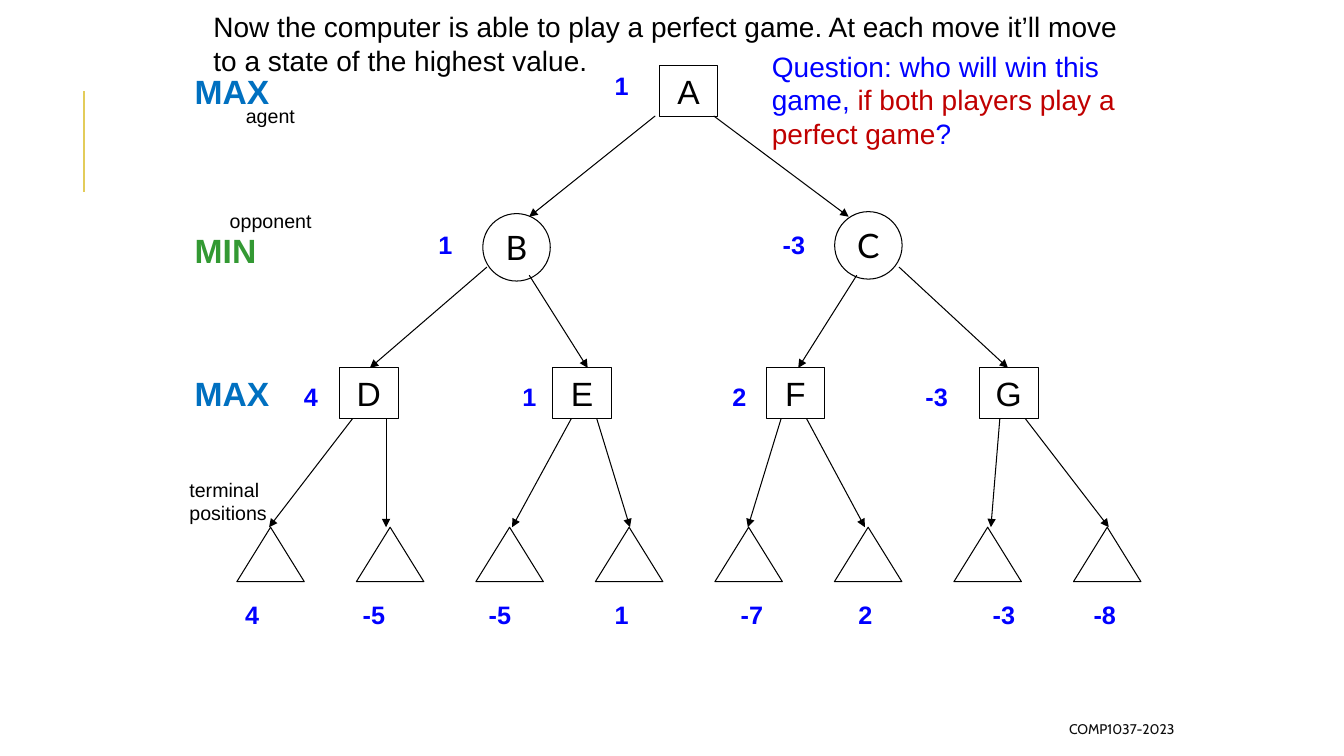
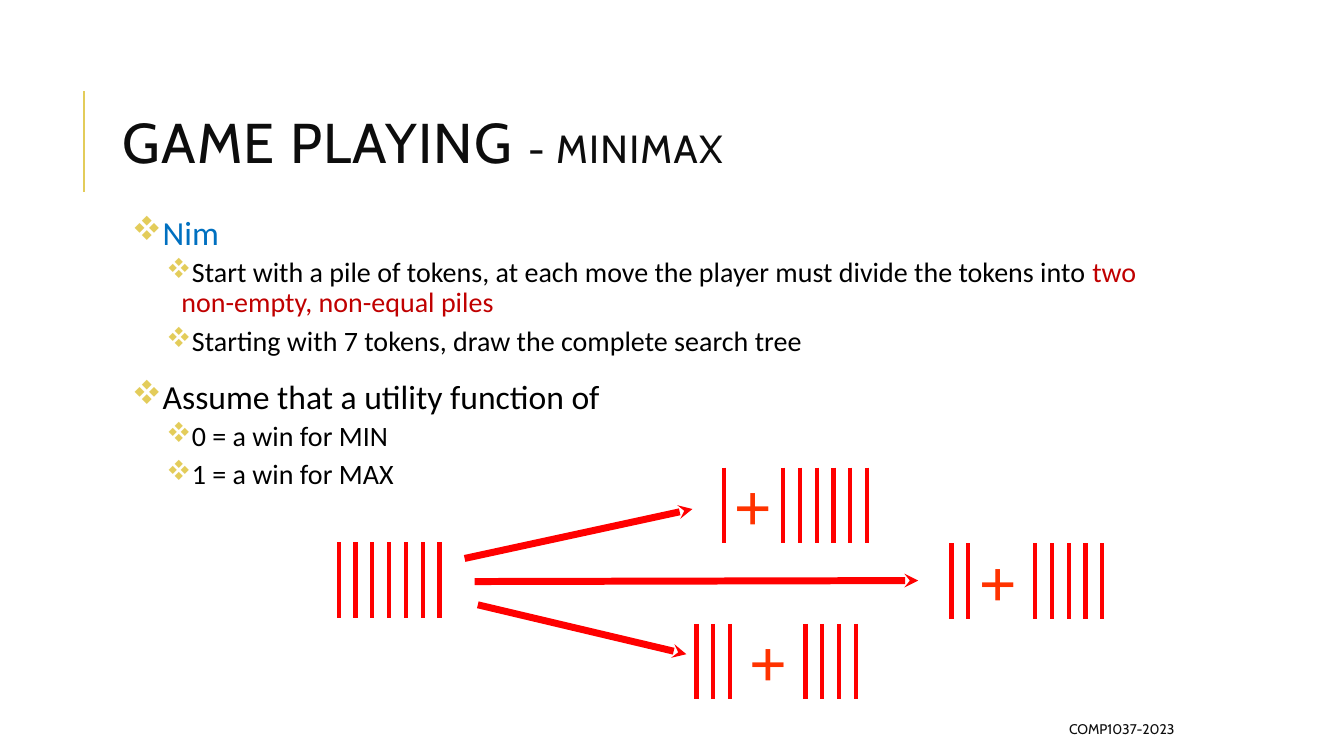
import pptx
import pptx.util
import pptx.dml.color
import pptx.enum.shapes
import pptx.enum.text
import pptx.oxml.ns
from lxml import etree

Pt = pptx.util.Pt
RGB = pptx.dml.color.RGBColor
SHAPE = pptx.enum.shapes.MSO_SHAPE
ALIGN = pptx.enum.text.PP_ALIGN
ANCHOR = pptx.enum.text.MSO_ANCHOR
qn = pptx.oxml.ns.qn

# Colours
BLACK, WHITE, INK = RGB(0, 0, 0), RGB(255, 255, 255), RGB(0x0D, 0x0D, 0x0D)
GOLD, BLUE, SKY = RGB(0xE3, 0xCC, 0x5A), RGB(0, 0, 0xFF), RGB(0, 0x70, 0xC0)
GREEN, CRIMSON = RGB(0x33, 0x99, 0x33), RGB(0xC0, 0, 0)
RED, ORANGE = RGB(0xFF, 0, 0), RGB(0xFF, 0x33, 0)

FOOTER = "COMP1037-2023"

# Game tree: name, left, top
SQUARES = [("A", 470.9, 46.8)] + [(name, 242.4 + 152.4 * i, 262.8) for i, name in enumerate("DEFG")]
CIRCLES = [("B", 344.9, 152.6), ("C", 596.2, 151.2)]
LEAF_COUNT, LEAF_LEFT, LEAF_STEP, LEAF_TOP = 8, 169.2, 85.37, 376.6

# Edges by row: start y, end y, (start x, end x) pairs
EDGES = [
    (82.8, 154.8, [(468, 378), (509.8, 606.2)]),
    (190.8, 262.8, [(347.8, 264.2), (642.2, 720)]),
    (196.6, 262.8, [(378, 419.8), (612, 570.2)]),
    (298.8, 376.6, [(252, 192.2), (275.8, 275.8), (408.2, 365.8), (426.2, 450),
                    (558, 534.2), (576, 617.8), (714.2, 707.8), (732.2, 792)]),
]

# Values by row: top, (text, left, width)
VALUES = [
    (46.8, [("1", 432, 30)]),
    (160.6, [("1", 306, 30), ("-3", 552, 42)]),
    (268.6, [("4", 210, 30), ("1", 366, 24), ("2", 516, 24), ("-3", 654, 36)]),
    (424.8, [("4", 168, 60), ("-5", 252, 72), ("-5", 342, 72), ("1", 432, 72),
             ("-7", 522, 72), ("2", 606, 72), ("-3", 702, 72), ("-8", 774, 60)]),
]
PLAYERS = [("MAX", 46.8, SKY), ("MIN", 160.6, GREEN), ("MAX", 262.8, SKY)]
ROLES = [("agent", 168.5, 70.6, 62), ("opponent", 157, 145.4, 87)]
LEAF_LABEL = ["terminal", "positions"]
REMARK = "Now the computer is able to play a perfect game. At each move it’ll move to a state of the highest value."
QUESTION = [("Question: who will win this game, ", BLUE),
            ("if both players play a perfect game", CRIMSON), ("?", BLUE)]

# Nim rules: level, runs
RULES = [
    (0, [("Nim", SKY)]),
    (1, [("Start with a pile of tokens, at each move the player must divide the tokens into ", BLACK),
         ("two non-empty, non-equal piles", CRIMSON)]),
    (1, [("Starting with 7 tokens, draw the complete search tree", BLACK)]),
    (0, [("Assume that a utility function of", BLACK)]),
    (1, [("0 = a win for MIN", BLACK)]),
    (1, [("1 = a win for MAX", BLACK)]),
]
# Per level: size, left margin, indent, space before, space after
LEVELS = [(24, 7.2, -7.2, 12, 2), (20, 35.3, -10.8, 2, 4)]

# Piles: top, (first token x, count) pairs, left of the plus sign
PILES = [
    (387.2, [(241.9, 7)], None),
    (334.1, [(517, 1), (559.4, 6)], 517),
    (388.1, [(679.7, 2), (739.4, 5)], 691.9),
    (445.7, [(497.5, 3), (575.3, 4)], 527.8),
]
TOKEN_STEP, TOKEN_HEIGHT = 12, 53.9
MOVES = [(331.9, 398.9, 494.6, 363.6), (339.1, 415.4, 655.9, 414.7), (341.3, 432, 490.3, 467.3)]


def add_runs(p, runs, size, font, bold=False):
    for text, color in runs:
        r = p.add_run()
        r.text = text
        r.font.size, r.font.name, r.font.bold = Pt(size), font, bold
        r.font.color.rgb = color


def add_text(s, box, runs, size, font="Arial", bold=False, align=ALIGN.LEFT, anchor=ANCHOR.TOP):
    sp = s.shapes.add_textbox(*map(Pt, box))
    tf = sp.text_frame
    tf.word_wrap, tf.vertical_anchor = True, anchor
    tf.paragraphs[0].alignment = align
    add_runs(tf.paragraphs[0], runs, size, font, bold)
    return sp


def add_line(s, x1, y1, x2, y2, color, width, arrow=None, head="med"):
    c = s.shapes.add_connector(pptx.enum.shapes.MSO_CONNECTOR.STRAIGHT, Pt(x1), Pt(y1), Pt(x2), Pt(y2))
    c.line.color.rgb, c.line.width = color, Pt(width)
    spPr = c._element.spPr
    if arrow:
        etree.SubElement(spPr.find(qn("a:ln")), qn("a:tailEnd"), type=arrow, w=head, len=head)
    etree.SubElement(spPr, qn("a:effectLst"))


def add_node(s, kind, box, name="", font="Arial"):
    sp = s.shapes.add_shape(kind, *map(Pt, box))
    sp.shadow.inherit = False
    sp.fill.background()
    sp.line.color.rgb, sp.line.width = BLACK, Pt(0.75)
    if name:
        tf = sp.text_frame
        tf.word_wrap = kind == SHAPE.RECTANGLE
        tf.vertical_anchor = ANCHOR.TOP if tf.word_wrap else ANCHOR.MIDDLE
        tf.paragraphs[0].alignment = ALIGN.CENTER
        add_runs(tf.paragraphs[0], [(name, BLACK)], 24, font)


def new_slide(prs):
    s = prs.slides.add_slide(prs.slide_layouts[6])
    s.background.fill.solid()
    s.background.fill.fore_color.rgb = WHITE
    add_line(s, 60, 136.8, 60, 64.8, GOLD, 1.5)
    add_text(s, (381.6, 509.8, 464.4, 21.6), [(FOOTER, INK)], 10, "Cabin",
             align=ALIGN.RIGHT, anchor=ANCHOR.MIDDLE)
    return s


def build_tree(prs):
    s = new_slide(prs)
    # Nodes and edges
    for name, x, y in SQUARES:
        add_node(s, SHAPE.RECTANGLE, (x, y, 42, 36.4), name)
    for name, x, y in CIRCLES:
        add_node(s, SHAPE.OVAL, (x, y, 48.2, 48.2), name, "Lato")
    for i in range(LEAF_COUNT):
        add_node(s, SHAPE.ISOSCELES_TRIANGLE, (LEAF_LEFT + LEAF_STEP * i, LEAF_TOP, 48.2, 38.9))
    for y1, y2, pairs in EDGES:
        for x1, x2 in pairs:
            add_line(s, x1, y1, x2, y2, BLACK, 0.75, "triangle")
    # Labels
    for text, x, y, width in ROLES:
        sp = add_text(s, (x, y, width, 23.8), [(text, BLACK)], 14)
        sp.fill.solid()
        sp.fill.fore_color.rgb = WHITE
    sp = add_text(s, (128.2, 337.7, 93.6, 41), [(LEAF_LABEL[0], BLACK)], 14)
    p = sp.text_frame.paragraphs[0]
    p.add_line_break()
    add_runs(p, [(LEAF_LABEL[1], BLACK)], 14, "Arial")
    for text, y, color in PLAYERS:
        add_text(s, (132, y, 78, 36), [(text, color)], 24, bold=True)
    for y, row in VALUES:
        for text, x, width in row:
            add_text(s, (x, y, width, 28.8), [(text, BLUE)], 18, bold=True)
    # Remarks
    add_text(s, (145.4, 3.6, 666.7, 55.4), [(REMARK, BLACK)], 20)
    add_text(s, (544.3, 31.7, 280, 79.2), QUESTION, 20)


def build_nim(prs):
    s = new_slide(prs)
    # Title
    sp = add_text(s, (80.6, 46.1, 765.4, 118.1), [("GAME PLAYING ", INK), ("- MINIMAX", INK)],
                  40, "Cabin", anchor=ANCHOR.MIDDLE)
    p = sp.text_frame.paragraphs[0]
    p.line_spacing, p.space_after = 0.8, Pt(3)
    p.runs[1].font.size = Pt(28)
    for r in p.runs:
        r.font._element.set("spc", "100")
    # Rules
    tf = s.shapes.add_textbox(Pt(90.7), Pt(151.2), Pt(746.6), Pt(231.8)).text_frame
    tf.word_wrap = True
    tf.margin_left = tf.margin_right = tf.margin_top = tf.margin_bottom = Pt(3.6)
    for i, (level, runs) in enumerate(RULES):
        p = tf.add_paragraph() if i else tf.paragraphs[0]
        size, margin, indent, before, after = LEVELS[level]
        p.level, p.line_spacing, p.space_after = level, 0.9, Pt(after)
        if i:
            p.space_before = Pt(before)
        pPr = p._p.get_or_add_pPr()
        pPr.set("marL", str(Pt(margin)))
        pPr.set("indent", str(Pt(indent)))
        etree.SubElement(etree.SubElement(pPr, qn("a:buClr")), qn("a:srgbClr"), val=str(GOLD))
        # The letter v is the four-diamond sign in this symbol font
        etree.SubElement(pPr, qn("a:buFont"), typeface="Wingdings", pitchFamily="2", charset="2")
        etree.SubElement(pPr, qn("a:buChar"), char="v")
        add_runs(p, runs, size, "Calibri")
    # Moves and piles
    for move in MOVES:
        add_line(s, *move, RED, 5, "stealth", "sm")
    for top, stacks, plus_left in PILES:
        for first, count in stacks:
            for i in range(count):
                x = first + TOKEN_STEP * i
                add_line(s, x, top, x, top + TOKEN_HEIGHT, RED, 3)
        if plus_left:
            add_text(s, (plus_left, top - 5.8, 41.8, 64.8), [("+", ORANGE)], 48, "Times New Roman", bold=True)


def main():
    prs = pptx.Presentation()
    prs.slide_width, prs.slide_height = Pt(960), Pt(540)
    build_tree(prs)
    build_nim(prs)
    prs.save("out.pptx")


if __name__ == "__main__":
    main()
